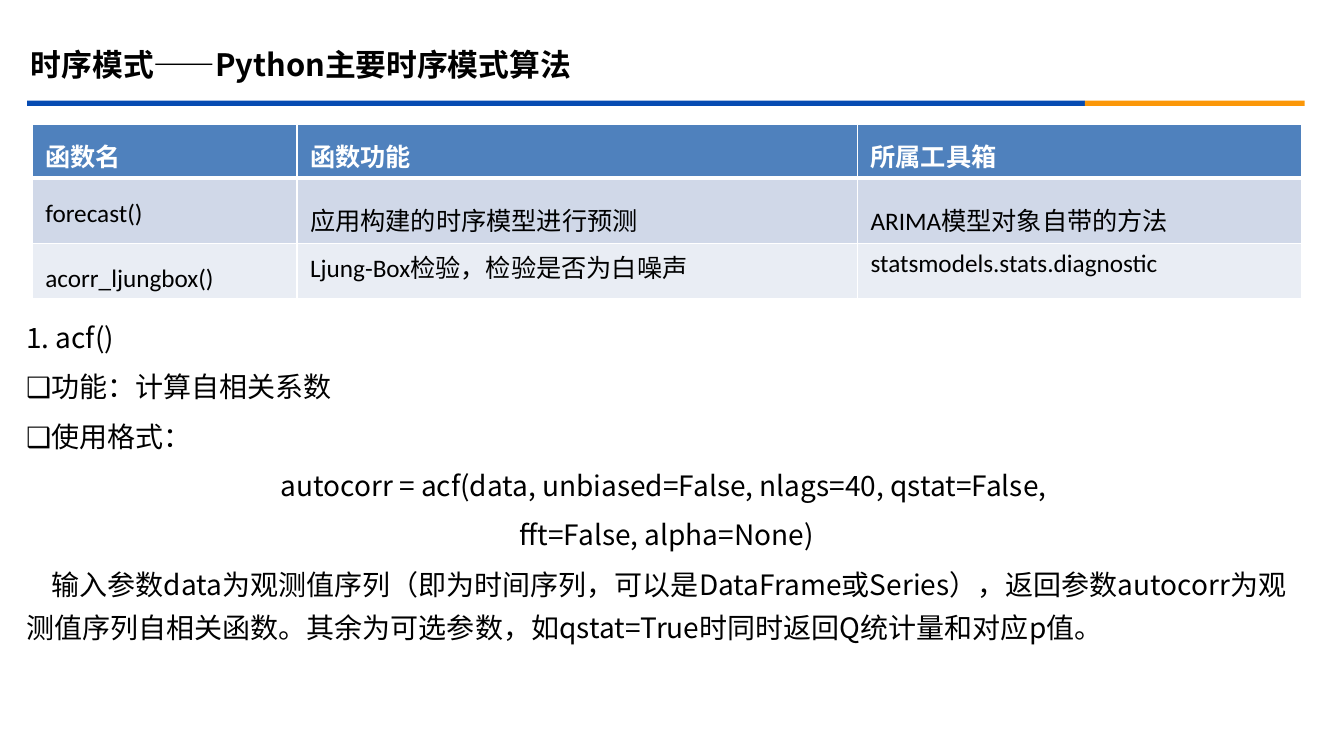
from dataclasses import dataclass

from lxml import etree
from pptx import Presentation
from pptx import util as u
from pptx.dml.color import RGBColor
from pptx.enum import shapes, text
from pptx.oxml import ns

BLUE = RGBColor(0x06, 0x4B, 0xB2)
ORANGE = RGBColor(0xFB, 0x97, 0x08)
HEADER = RGBColor(0x4F, 0x81, 0xBD)
BAND_DARK = RGBColor(0xD0, 0xD8, 0xE8)
BAND_LIGHT = RGBColor(0xE9, 0xED, 0xF4)
WHITE = RGBColor(0xFF, 0xFF, 0xFF)
BLACK = RGBColor(0, 0, 0)

CJK = "Noto Sans CJK SC"
LATIN = "Calibri"
WIDTH, HEIGHT = u.Inches(13.33), u.Inches(7.5)


@dataclass
class Area:
    """A rectangle in percent of the slide's width and height."""
    left: float
    top: float
    width: float
    height: float

    def place(self) -> dict:
        return {"left": across(self.left), "top": down(self.top),
                "width": across(self.width), "height": down(self.height)}


@dataclass
class Bar:
    area: Area
    color: RGBColor


@dataclass
class Line:
    words: str
    align: text.PP_ALIGN = text.PP_ALIGN.LEFT
    indent: float = 0


@dataclass
class Row:
    height: float
    fill: RGBColor
    color: RGBColor
    bold: bool
    top_edge: float
    bottom_edge: float
    spacings: tuple
    words: tuple


def across(percent: float) -> int:
    return u.Emu(round(WIDTH * percent / 100))


def down(percent: float) -> int:
    return u.Emu(round(HEIGHT * percent / 100))


def apply(target, values: dict) -> None:
    for name, value in values.items():
        setattr(target, name, value)


def write(para, words: str, font: str, size: float, color: RGBColor,
          bold: bool = False) -> None:
    span = para.add_run()
    span.text = words
    apply(span.font, {"name": font, "size": u.Pt(size), "bold": bold})
    span.font.color.rgb = color
    etree.SubElement(span.font._element, ns.qn("a:ea"), typeface=CJK)


def draw_bar(page, bar: Bar) -> None:
    box = page.shapes.add_shape(shapes.MSO_SHAPE.RECTANGLE, **bar.area.place())
    box.shadow.inherit = False
    box.fill.solid()
    box.fill.fore_color.rgb = bar.color
    box.line.fill.background()


def draw_edges(cell, row: Row) -> None:
    edges = {"lnL": 1, "lnR": 1, "lnT": row.top_edge, "lnB": row.bottom_edge}
    properties = cell._tc.get_or_add_tcPr()
    for name, points in edges.items():
        edge = etree.SubElement(properties, ns.qn(f"a:{name}"), w=str(u.Pt(points)))
        fill = etree.SubElement(edge, ns.qn("a:solidFill"))
        etree.SubElement(fill, ns.qn("a:srgbClr"), val=str(WHITE))


def draw_table(page, area: Area, columns: list[float], rows: list[Row]) -> None:
    table = page.shapes.add_table(len(rows), len(columns), **area.place()).table
    for column, width in zip(table.columns, columns):
        column.width = across(width)
    for line, row in zip(table.rows, rows):
        line.height = down(row.height)
        for cell, words, spacing in zip(line.cells, row.words, row.spacings):
            draw_edges(cell, row)
            cell.fill.solid()
            cell.fill.fore_color.rgb = row.fill
            apply(cell, {"margin_left": u.Inches(0.13), "margin_right": u.Inches(0.13),
                         "margin_top": u.Inches(0.05), "margin_bottom": u.Inches(0.05)})
            para = cell.text_frame.paragraphs[0]
            apply(para, {"line_spacing": spacing, "space_before": u.Pt(3.6)})
            write(para, words, LATIN, 18, row.color, row.bold)


def draw_title(box, area: Area, words: str) -> None:
    apply(box, area.place())
    apply(box.text_frame, {"vertical_anchor": text.MSO_ANCHOR.MIDDLE, "word_wrap": True,
                           "auto_size": text.MSO_AUTO_SIZE.NONE})
    para = box.text_frame.paragraphs[0]
    para.alignment = text.PP_ALIGN.LEFT
    write(para, words, CJK, 22, BLACK, True)


def draw_body(box, area: Area, lines: list[Line]) -> None:
    apply(box, area.place())
    frame = box.text_frame
    apply(frame, {"margin_left": 0, "margin_right": 0, "margin_top": 0,
                  "margin_bottom": 0, "word_wrap": True,
                  "vertical_anchor": text.MSO_ANCHOR.TOP,
                  "auto_size": text.MSO_AUTO_SIZE.SHAPE_TO_FIT_TEXT})
    for number, line in enumerate(lines):
        para = frame.add_paragraph() if number else frame.paragraphs[0]
        apply(para, {"alignment": line.align, "line_spacing": 1.3,
                     "space_before": u.Pt(4)})
        # No bullet, only a first-line indent
        properties = para._p.get_or_add_pPr()
        properties.set("marL", "0")
        properties.set("indent", str(u.Inches(line.indent)))
        etree.SubElement(properties, ns.qn("a:buNone"))
        write(para, line.words, CJK, 20, BLACK)


BARS = [
    Bar(Area(2.03, 13.33, 78.7, 0.67), BLUE),
    Bar(Area(80.72, 13.33, 16.35, 0.67), ORANGE),
]
COLUMNS = [19.7, 41.7, 33.08]
ROWS = [
    Row(7.07, HEADER, WHITE, True, 1, 3, (1.2, 1.2, 1.2),
        ("函数名", "函数功能", "所属工具箱")),
    Row(8.6, BAND_DARK, BLACK, False, 3, 1, (1.5, 1.5, 1.5),
        ("forecast()", "应用构建的时序模型进行预测", "ARIMA模型对象自带的方法")),
    Row(7.33, BAND_LIGHT, BLACK, False, 1, 1, (1.5, 1.0, 1.0),
        ("acorr_ljungbox()", "Ljung-Box检验，检验是否为白噪声",
         "statsmodels.stats.diagnostic")),
]
LINES = [
    Line("1. acf()"),
    Line("❑功能：计算自相关系数"),
    Line("❑使用格式："),
    Line("autocorr = acf(data, unbiased=False, nlags=40, qstat=False, ",
         text.PP_ALIGN.CENTER),
    Line("fft=False, alpha=None)", text.PP_ALIGN.CENTER),
    Line("输入参数data为观测值序列（即为时间序列，可以是DataFrame或Series），"
         "返回参数autocorr为观测值序列自相关函数。其余为可选参数，"
         "如qstat=True时同时返回Q统计量和对应p值。", indent=0.25),
]


def main() -> None:
    deck = Presentation()
    apply(deck, {"slide_width": WIDTH, "slide_height": HEIGHT})
    page = deck.slides.add_slide(deck.slide_layouts.get_by_name("Title and Content"))

    # Heading and the two-colour rule below it
    draw_title(page.shapes.title, Area(1.54, 5.33, 91, 6.27),
               "时序模式——Python主要时序模式算法")
    for bar in BARS:
        draw_bar(page, bar)

    # Function table and the notes on acf()
    draw_table(page, Area(2.4, 16.5, sum(COLUMNS), sum(row.height for row in ROWS)),
               COLUMNS, ROWS)
    draw_body(page.placeholders[1], Area(1.95, 41.07, 95.35, 45.33), LINES)
    deck.save("out.pptx")


if __name__ == "__main__":
    main()
